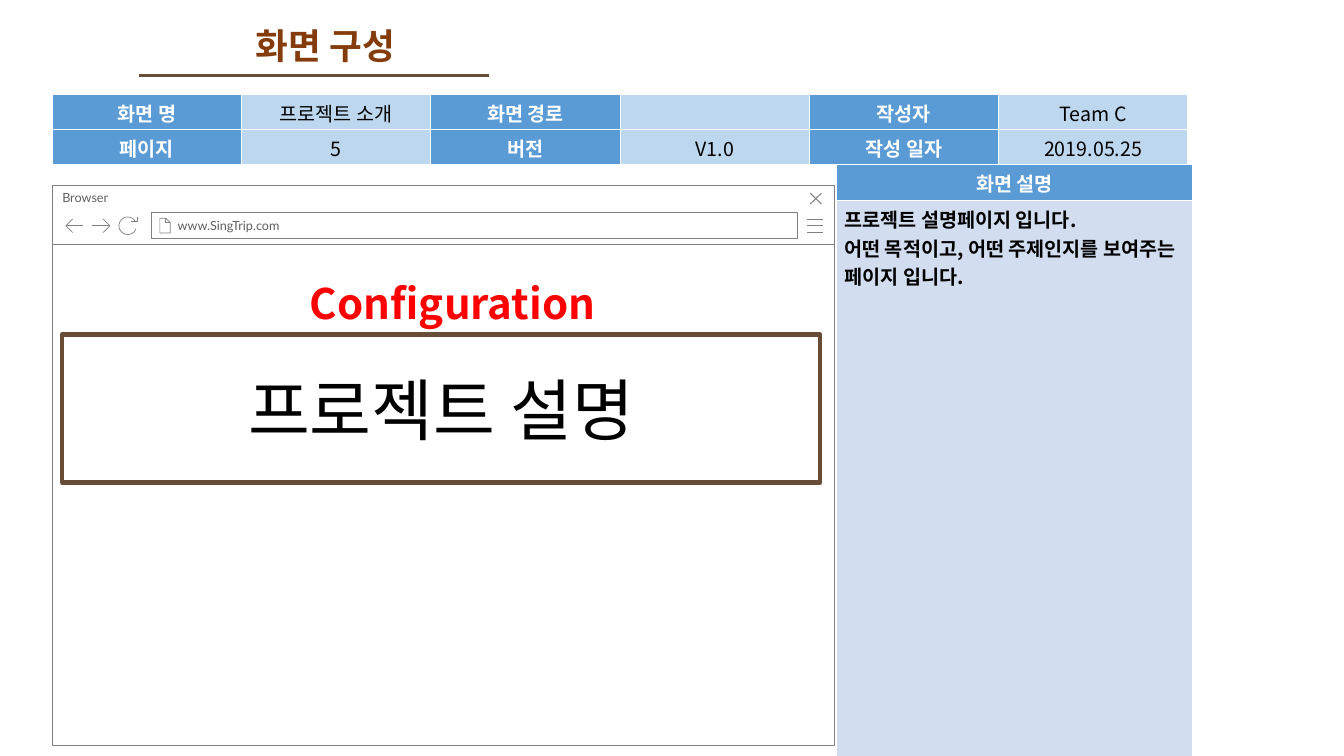
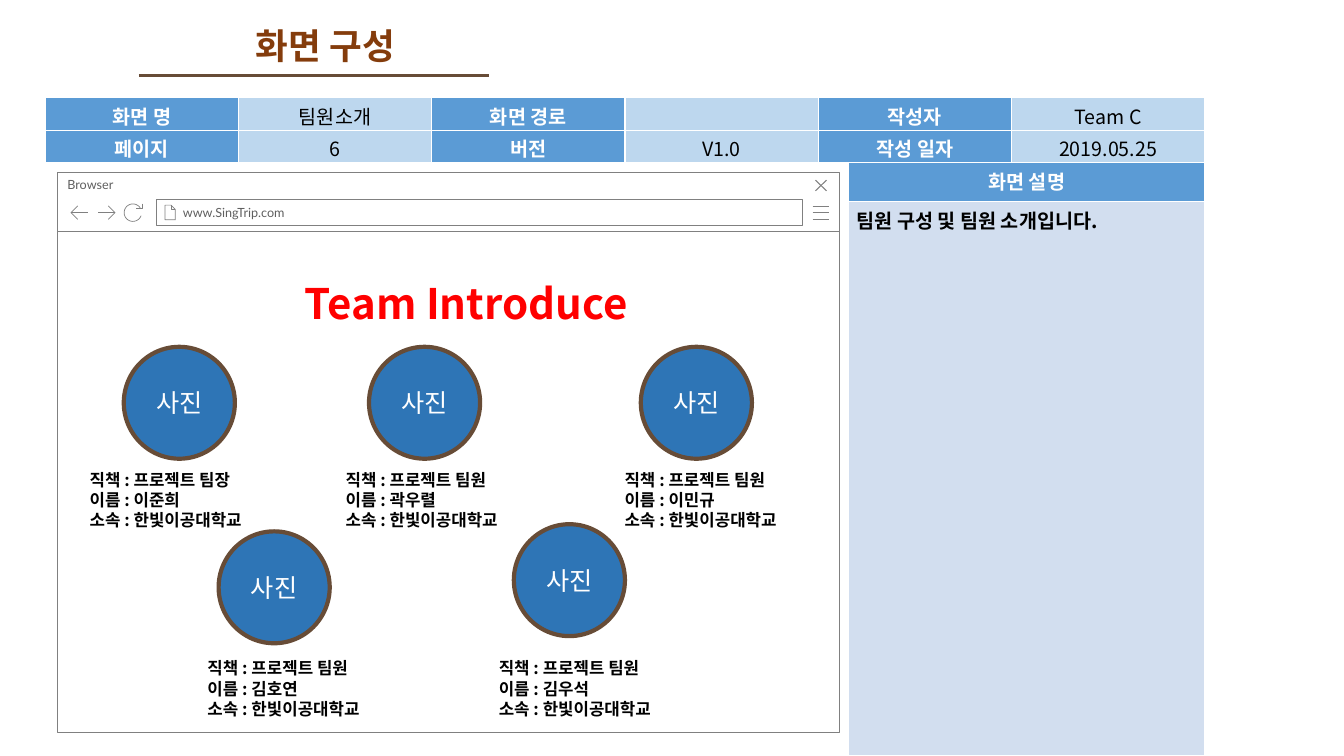
import math

import lxml.etree
import pptx
import pptx.dml.color
import pptx.enum.shapes
import pptx.enum.text
import pptx.oxml.ns
import pptx.util

Cm = pptx.util.Cm
Pt = pptx.util.Pt
Form = pptx.enum.shapes.MSO_SHAPE
Align = pptx.enum.text.PP_ALIGN
Anchor = pptx.enum.text.MSO_ANCHOR
qn = pptx.oxml.ns.qn

# Colours and fonts
WHITE, BLACK, RED = "FFFFFF", "000000", "FF0000"
RUST, BROWN = "843C0C", "674C37"
HEAD, PALE, NOTE, DISC = "5B9BD5", "BDD7EE", "D2DEEF", "2E75B6"
GRAY, INK = "808080", "5F5F5F"
NOTO, PLAIN, WEB = "Noto Sans CJK KR", "Calibri", "Lato"


def tint(code):
    return pptx.dml.color.RGBColor.from_string(code)


class Deck:
    def __init__(self):
        self.prs = pptx.Presentation()
        self.prs.slide_width = Cm(33.87)
        self.prs.slide_height = Cm(19.05)
        self.slide = None

    def page(self, title):
        """Start a slide with the shared title and its rule."""
        self.slide = self.prs.slides.add_slide(self.prs.slide_layouts[5])
        head = self.slide.shapes.title
        head.left, head.top, head.width, head.height = Cm(3.5), Cm(0.48), Cm(9.4), Cm(1.35)
        head.text_frame.auto_size = pptx.enum.text.MSO_AUTO_SIZE.NONE
        self.text(head.text_frame, title, 25.4, RUST, PLAIN, True, Align.CENTER)
        self.rule(3.5, 1.9, 12.32)

    def text(self, frame, words, size, color, face=NOTO, bold=False,
             align=Align.LEFT, anchor=Anchor.TOP):
        frame.text = words
        frame.word_wrap = True
        frame.vertical_anchor = anchor
        for para in frame.paragraphs:
            para.alignment = align
            font = para.font
            font.size, font.bold, font.name = Pt(size), bold, face
            font.color.rgb = tint(color)
            style = para._p.pPr.find(qn("a:defRPr"))
            lxml.etree.SubElement(style, qn("a:ea"), typeface=NOTO)
            if not words:  # an empty cell keeps the row's text size
                lxml.etree.SubElement(para._p, qn("a:endParaRPr"), sz=str(size * 100))

    def rule(self, x, y, end):
        line = self.slide.shapes.add_connector(
            pptx.enum.shapes.MSO_CONNECTOR.STRAIGHT, Cm(x), Cm(y), Cm(end), Cm(y))
        line.line.color.rgb = tint(BROWN)
        line.line.width = Pt(2.5)
        lxml.etree.SubElement(line._element.spPr, qn("a:effectLst"))

    def paint(self, shape, fill, line, width):
        shape.shadow.inherit = False
        if fill:
            shape.fill.solid()
            shape.fill.fore_color.rgb = tint(fill)
        else:
            shape.fill.background()
        shape.line.color.rgb = tint(line)
        shape.line.width = Pt(width)

    def shape(self, form, x, y, w, h, fill, line, width):
        item = self.slide.shapes.add_shape(form, Cm(x), Cm(y), Cm(w), Cm(h))
        self.paint(item, fill, line, width)
        return item.text_frame

    def label(self, x, y, w, h, words, size, color, inset=0.25):
        frame = self.slide.shapes.add_textbox(Cm(x), Cm(y), Cm(w), Cm(h)).text_frame
        frame.margin_left = Cm(inset)
        self.text(frame, words, size, color, bold=True)

    def icon(self, x, y, strokes, width=0.5):
        """Draw open strokes, given relative to x, y, as one outline."""
        pen = None
        for stroke in strokes:
            first, *rest = [(Cm(x + a), Cm(y + b)) for a, b in stroke]
            if pen is None:
                pen = self.slide.shapes.build_freeform(*first)
            else:
                pen.move_to(*first)
            pen.add_line_segments(rest, close=False)
        self.paint(pen.convert_to_shape(), None, GRAY, width)

    def table(self, x, y, cols, rows):
        item = self.slide.shapes.add_table(
            len(rows), len(cols), Cm(x), Cm(y), Cm(sum(cols)), Cm(sum(rows)))
        grid = item.table
        for col, size in zip(grid.columns, cols):
            col.width = Cm(size)
        for row, size in zip(grid.rows, rows):
            row.height = Cm(size)
        return grid

    def cell(self, cell, words, fill, color, bold, align=Align.CENTER):
        cell.margin_left = cell.margin_right = Cm(0.2)
        cell.margin_top = cell.margin_bottom = Cm(0.1)
        cell.fill.solid()
        cell.fill.fore_color.rgb = tint(fill)
        self.text(cell.text_frame, words, 14, color, NOTO, bold, align)

    def facts(self, x, y, col, row, name, page):
        """Table of screen facts: headings and values take turns."""
        texts = [["화면 명", name, "화면 경로", "", "작성자", "Team C"],
                 ["페이지", page, "버전", "V1.0", "작성 일자", "2019.05.25"]]
        grid = self.table(x, y, [col] * 6, [row] * 2)
        for r, line in enumerate(texts):
            for c, words in enumerate(line):
                key = c % 2 == 0
                self.cell(grid.cell(r, c), words, HEAD if key else PALE,
                          WHITE if key else BLACK, key)

    def notes(self, x, y, rows, words):
        grid = self.table(x, y, [8.97], rows)
        self.cell(grid.cell(0, 0), "화면 설명", HEAD, WHITE, True)
        self.cell(grid.cell(1, 0), words, NOTE, BLACK, True, Align.LEFT)

    def browser(self, x, y):
        """Browser window with its bar and icons."""
        self.shape(Form.RECTANGLE, x, y + 1.5, 19.7, 12.62, WHITE, GRAY, 0.5)
        bar = self.shape(Form.RECTANGLE, x, y, 19.7, 1.5, WHITE, GRAY, 0.5)
        self.text(bar, "Browser", 9, INK, WEB)
        site = self.shape(Form.RECTANGLE, x + 2.5, y + 0.68, 16.28, 0.67, WHITE, GRAY, 0.5)
        site.margin_left = Cm(0.66)
        self.text(site, "www.SingTrip.com", 9, INK, WEB, anchor=Anchor.MIDDLE)
        # Menu, close, file, back, forward
        self.icon(x, y, [[(19.03, b), (19.43, b)] for b in (0.86, 1.02, 1.18)])
        self.icon(x, y, [[(19.1, 0.2), (19.38, 0.47)], [(19.38, 0.2), (19.1, 0.47)]], 0.75)
        self.icon(x, y, [[(2.86, 0.83), (2.86, 0.94), (2.97, 0.94)],
                         [(2.86, 0.83), (2.71, 0.83), (2.71, 1.2), (2.97, 1.2),
                          (2.97, 0.94), (2.86, 0.83)]])
        self.icon(x, y, [[(0.51, 0.85), (0.34, 1.02), (0.51, 1.19)],
                         [(0.34, 1.02), (0.77, 1.02)]])
        self.icon(x, y, [[(1.28, 0.85), (1.45, 1.02), (1.28, 1.19)],
                         [(1.45, 1.02), (1.01, 1.02)]])
        # Reload: an open ring with a corner
        ring = [(1.9 + 0.22 * math.cos(math.radians(a)),
                 1.02 + 0.22 * math.sin(math.radians(a))) for a in range(20, 331, 10)]
        self.icon(x, y, [[(2.13, 0.79), (2.13, 0.92), (1.98, 0.92)], ring])

    def member(self, disc, tag, role, name):
        photo = self.shape(Form.OVAL, *disc, 2.8, 2.82, DISC, BROWN, 3)
        self.text(photo, "사진", 18, WHITE, PLAIN, False, Align.CENTER, Anchor.MIDDLE)
        words = f"직책 : 프로젝트 {role}\n이름 : {name}\n소속 : 한빛이공대학교"
        self.label(*tag, 4.78, 1.8, words, 12, BLACK)


def main():
    deck = Deck()

    # Project screen
    deck.page("화면 구성")
    deck.notes(21.08, 4.14, [0.91, 14.0],
               "프로젝트 설명페이지 입니다.\n어떤 목적이고, 어떤 주제인지를 보여주는 페이지 입니다.")
    deck.browser(1.32, 4.67)
    deck.label(1.75, 6.88, 17.5, 1.55, "Configuration", 30, RED, 6.06)
    box = deck.shape(Form.RECTANGLE, 1.57, 8.43, 19.1, 3.73, None, BROWN, 3)
    deck.text(box, "프로젝트 설명", 48, BLACK, PLAIN, False, Align.CENTER, Anchor.MIDDLE)
    deck.facts(1.32, 2.39, 4.77, 0.88, "프로젝트 소개", "5")

    # Team screen
    deck.page("화면 구성")
    deck.browser(1.45, 4.34)
    deck.label(1.88, 6.88, 17.5, 1.55, "Team Introduce", 30, RED, 5.8)
    high, low = 11.71, 16.46
    team = [((3.12, 8.74), (2.01, high), "팀장", "이준희"),
            ((9.3, 8.74), (8.46, high), "팀원", "곽우렬"),
            ((16.15, 8.74), (15.49, high), "팀원", "이민규"),
            ((5.51, 13.39), (4.98, low), "팀원", "김호연"),
            ((12.95, 13.21), (12.32, low), "팀원", "김우석")]
    for one in team:
        deck.member(*one)
    deck.notes(21.39, 4.09, [0.99, 13.95], "팀원 구성 및 팀원 소개입니다.")
    deck.facts(1.14, 2.46, 4.87, 0.82, "팀원소개", "6")

    deck.prs.save("out.pptx")


if __name__ == "__main__":
    main()
